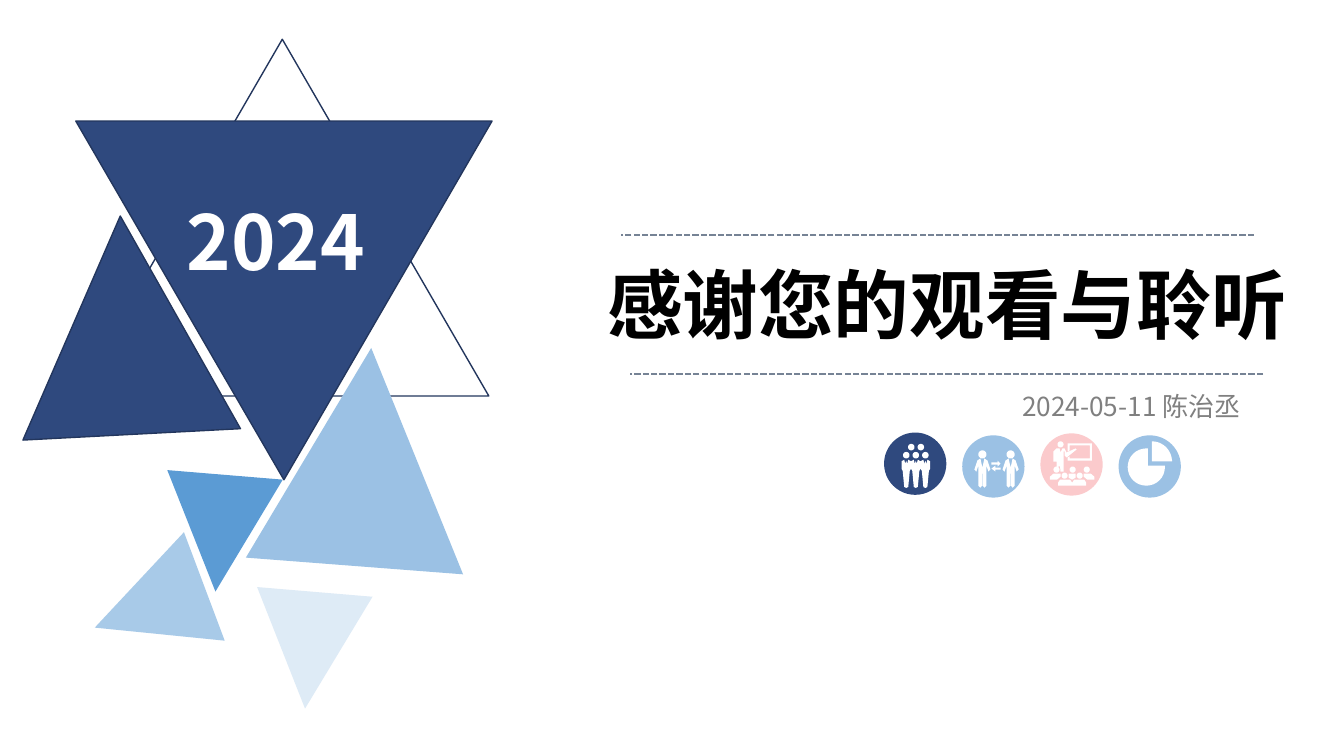
from dataclasses import dataclass
from math import cos, radians, sin

from lxml.etree import SubElement
from pptx import Presentation
from pptx.dml.color import RGBColor
from pptx.enum.dml import MSO_LINE
from pptx.enum.shapes import MSO_CONNECTOR, MSO_SHAPE as Preset
from pptx.enum.text import MSO_ANCHOR, MSO_AUTO_SIZE, PP_ALIGN as Align
from pptx.oxml.ns import qn
from pptx.util import Cm, Pt


@dataclass(frozen=True)
class Theme:
    font: str = "Noto Sans CJK SC"
    navy: str = "2F497E"
    outline: str = "23365D"
    rule: str = "768395"
    sky: str = "9BC1E4"
    blue: str = "5B9BD4"
    pink: str = "FBCACC"
    white: str = "FFFFFF"
    black: str = "000000"
    grey: str = "808080"
    display_size: float = 54
    caption_size: float = 18.7


THEME = Theme()
ICON_DIAMETER = 1.57
ICON_UNIT = 0.0254  # icon outlines are drawn on a grid of this many cm
FINENESS = 10  # steps per grid unit, so that curves stay smooth


def write_text(frame, text, size, color, bold=False, align=Align.LEFT, wrap=True):
    frame.word_wrap = wrap
    frame.auto_size = MSO_AUTO_SIZE.SHAPE_TO_FIT_TEXT
    frame.vertical_anchor = MSO_ANCHOR.MIDDLE
    paragraph = frame.paragraphs[0]
    paragraph.alignment = align
    run = paragraph.add_run()
    run.text = text
    run.font.size = Pt(size)
    run.font.bold = bold
    run.font.color.rgb = RGBColor.from_string(color)
    run.font.name = THEME.font
    SubElement(run._r.get_or_add_rPr(), qn("a:ea"), typeface=THEME.font)


def arc(x, y, radius, start=0, end=360, steps=24):
    angles = [radians(start + (end - start) * i / steps) for i in range(steps + 1)]
    return [(x + radius * cos(a), y + radius * sin(a)) for a in angles]


def mirrored(half, axis):
    """Complete an outline from its right half, given as offsets from the axis."""
    right = [(axis + x, y) for x, y in half]
    return right + [(axis - x, y) for x, y in reversed(half)]


def team_icon():
    body = [(0, 28), (1, 31), (2, 27), (4.7, 28.5), (4.7, 36), (3.5, 38), (2, 54), (0, 55)]
    front = (22, 31.5, 41)
    heads = [arc(x, 22.5, 3.2) for x in front] + [arc(x, 14.5, 3.2) for x in (27, 36.5)]
    return [mirrored(body, x) for x in front] + heads


def exchange_icon():
    body = [(0, 32), (2, 23), (5, 25), (8, 34), (6, 36), (4, 30),
            (4, 50), (2, 52), (0.3, 50), (0.3, 38)]
    partners = (20, 48)
    to_right = [(35, 25), (38, 28), (35, 31), (35, 29), (29, 29), (29, 27), (35, 27)]
    to_left = [(33, 30), (33, 32), (38, 32), (38, 34), (33, 34), (33, 36), (29, 33)]
    return ([mirrored(body, x) for x in partners]
            + [arc(x, 19, 4) for x in partners] + [to_right, to_left])


def lecture_icon():
    board = [(27, 18), (27, 10), (51, 10), (51, 27), (27, 27), (27, 24),
             (29, 23), (29, 25), (49, 25), (49, 12), (29, 12), (29, 17)]
    speaker = [(16, 15), (19, 15), (20, 19), (22, 15), (24, 15), (26, 19), (35, 15),
               (36, 16), (26, 24), (24, 22), (24, 18), (23, 18), (23, 38), (20, 38),
               (19, 27), (19, 33), (16, 33), (16, 28), (13, 28), (13, 18)]
    side_seat = [(11.5, 40), (18.5, 40), (22, 43), (22, 46), (15, 46), (11.5, 43)]
    back_seats = [[(31.5 + side * x, y) for x, y in side_seat] for side in (-1, 1)]
    middle_seat = mirrored([(0, 40), (3.5, 40), (3.5, 44), (0, 46)], 31.5)
    front_seats = [mirrored([(0, 46), (5, 46), (7, 49), (7, 52), (0, 52)], x)
                   for x in (24.5, 38.5)]
    heads = [arc(x, 42, 3) for x in (24, 39)] + [arc(x, 36, 3) for x in (16, 32, 46)]
    return [board, speaker, middle_seat, *back_seats, *front_seats,
            arc(20, 11, 3), *heads]


def pie_icon():
    rest = arc(27.5, 31.5, 18.5, 0, 270) + [(29, 13), (29, 30), (46, 30)]
    slice_out = arc(33, 26, 20, -90, 0) + [(33, 26)]
    return [rest, slice_out]


class SlideBuilder:
    def __init__(self, deck, theme):
        self.theme = theme
        self.slide = deck.slides.add_slide(deck.slide_layouts[5])
        self.shapes = self.slide.shapes

    def title(self, text, box, **style):
        heading = self.shapes.title
        heading.left, heading.top, heading.width, heading.height = map(Cm, box)
        write_text(heading.text_frame, text, **style)

    def label(self, text, box, **style):
        write_text(self.shapes.add_textbox(*map(Cm, box)).text_frame, text, **style)

    def paint(self, shape, fill=None, line=None, opacity=None):
        shape.shadow.inherit = False
        if fill:
            shape.fill.solid()
            shape.fill.fore_color.rgb = RGBColor.from_string(fill)
        else:
            shape.fill.background()
        if opacity:
            tint = shape._element.spPr.find(".//" + qn("a:srgbClr"))
            SubElement(tint, qn("a:alpha"), val=str(opacity * 1000))
        if line:
            shape.line.color.rgb = RGBColor.from_string(line)
            shape.line.width = Pt(1)
        else:
            shape.line.fill.background()

    def triangle(self, box, rotation=0, **look):
        triangle = self.shapes.add_shape(Preset.ISOSCELES_TRIANGLE, *map(Cm, box))
        triangle.rotation = rotation
        self.paint(triangle, **look)

    def dashed_rule(self, left, right, y):
        rule = self.shapes.add_connector(
            MSO_CONNECTOR.STRAIGHT, Cm(right), Cm(y), Cm(left), Cm(y))
        rule.line.color.rgb = RGBColor.from_string(self.theme.rule)
        rule.line.width = Pt(1.5)
        rule.line.dash_style = MSO_LINE.SQUARE_DOT
        SubElement(rule._element.spPr, qn("a:effectLst"))

    def badge(self, left, top, color, outlines):
        """Group a coloured disc with the white icon on it."""
        parts = self.shapes.add_group_shape().shapes
        disc = parts.add_shape(Preset.OVAL, Cm(left), Cm(top),
                               Cm(ICON_DIAMETER), Cm(ICON_DIAMETER))
        self.paint(disc, fill=color)
        fine = [[(x * FINENESS, y * FINENESS) for x, y in points] for points in outlines]
        pen = parts.build_freeform(*fine[0][0], scale=Cm(ICON_UNIT) / FINENESS)
        for index, points in enumerate(fine):
            if index:
                pen.move_to(*points[0])
            pen.add_line_segments(points[1:], close=True)
        self.paint(pen.convert_to_shape(Cm(left), Cm(top)), fill=self.theme.white)


def main():
    deck = Presentation()
    deck.slide_width, deck.slide_height = Cm(33.87), Cm(19.05)
    closing = SlideBuilder(deck, THEME)
    t = THEME

    closing.triangle((1.91, 0.99, 10.41, 8.99), line=t.outline)
    closing.triangle((1.91, 3.05, 10.49, 9.04), 180, fill=t.navy, line=t.outline)
    closing.dashed_rule(15.88, 31.83, 9.42)
    closing.dashed_rule(15.65, 31.6, 5.92)

    closing.title("感谢您的观看与聆听", (14.96, 6.35, 17.83, 2.57), size=t.display_size,
                  color=t.black, bold=True, align=Align.CENTER, wrap=False)
    closing.label("2024", (4.45, 4.78, 6.1, 2.57), size=t.display_size,
                  color=t.white, bold=True)
    closing.label("2024-05-11 陈治丞", (25.22, 9.7, 6.6, 1.07), size=t.caption_size,
                  color=t.grey, align=Align.CENTER, wrap=False)

    large, small = (5.49, 5.51), (2.92, 2.95)
    closing.triangle((0.43, 5.44, *large), 357, fill=t.navy, line=t.outline)
    closing.triangle((6.4, 8.76, *large), 4.4, fill=t.sky)
    closing.triangle((4.09, 11.96, *small), 184.7, fill=t.blue)
    closing.triangle((2.31, 13.82, *small), 249.4, fill=t.blue, opacity=53)
    closing.triangle((6.35, 14.91, *small), 184.8, fill=t.blue, opacity=20)

    badges = [(10.9, t.navy, team_icon()), (10.97, t.sky, exchange_icon()),
              (10.92, t.pink, lecture_icon()), (10.97, t.sky, pie_icon())]
    for index, (top, color, outlines) in enumerate(badges):
        closing.badge(22.28 + 1.97 * index, top, color, outlines)

    deck.save("out.pptx")


if __name__ == "__main__":
    main()
